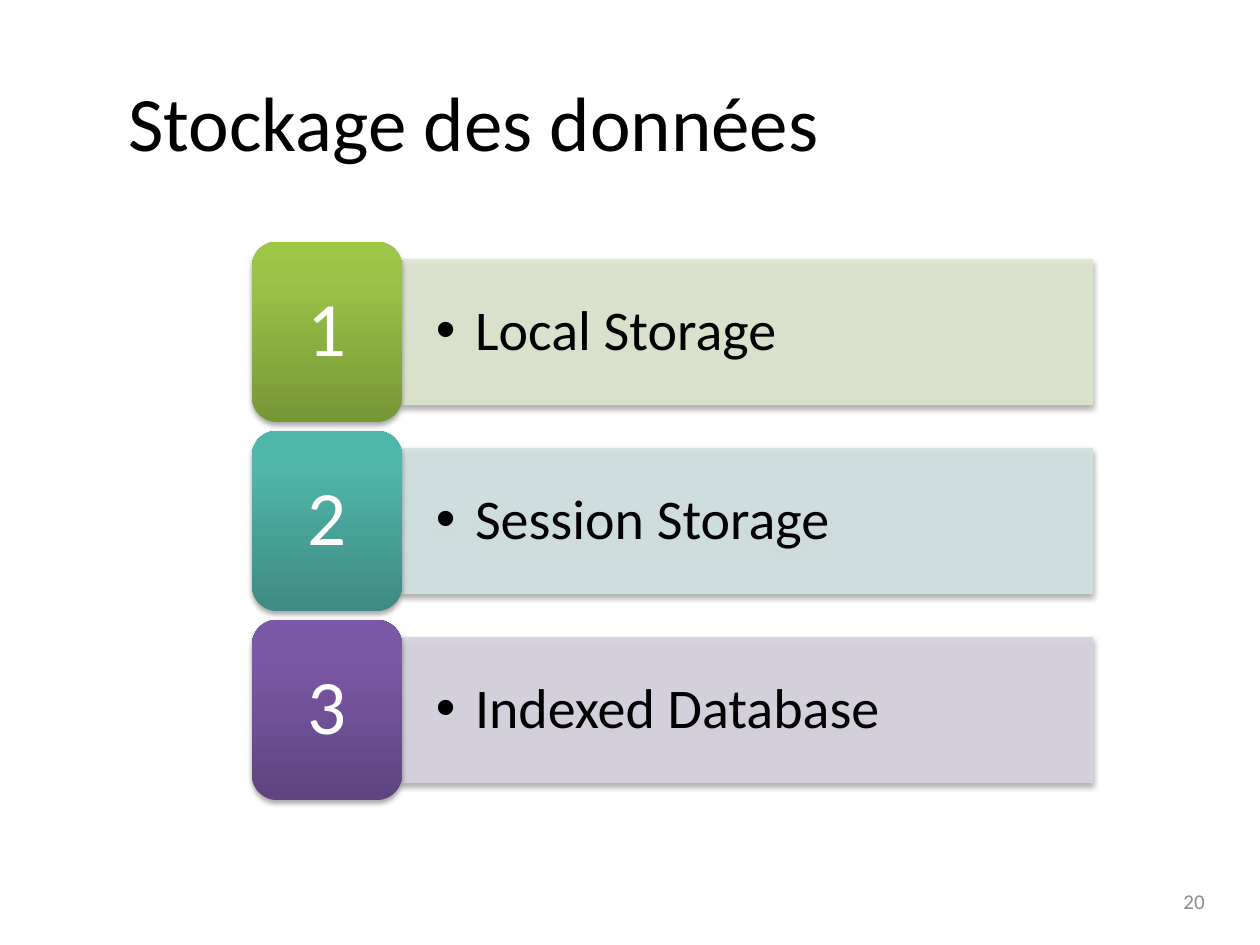
from lxml import etree
from pptx import Presentation
from pptx import util as u
from pptx.dml.color import RGBColor
from pptx.enum import shapes, text
from pptx.oxml.ns import qn


def colour(code):
    return RGBColor.from_string(code)


def apply(target, values):
    for name, value in values.items():
        setattr(target, name, value)


def add_node(parent, tag, **attributes):
    return etree.SubElement(parent, qn(tag), {k: str(v) for k, v in attributes.items()})


class StorageSlide:
    font = "Calibri"
    ink = "000000"
    light = "FFFFFF"
    muted = "8C8C8C"

    def __init__(self, deck):
        self.slide = deck.slides.add_slide(deck.slide_layouts[6])

    def put_words(self, holder, wording, size, ink, align, insets=(0.1, 0.05)):
        frame = holder.text_frame
        across, down = map(u.Inches, insets)
        apply(frame, {
            "word_wrap": True,
            "vertical_anchor": text.MSO_ANCHOR.MIDDLE,
            "margin_left": across, "margin_right": across,
            "margin_top": down, "margin_bottom": down,
        })
        paragraph = frame.paragraphs[0]
        paragraph.alignment = align
        run = paragraph.add_run()
        run.text = wording
        apply(run.font, {"name": self.font, "size": u.Pt(size)})
        run.font.color.rgb = colour(ink)
        return paragraph

    def label(self, box, wording, size, ink, align):
        holder = self.slide.shapes.add_textbox(*map(u.Inches, box))
        self.put_words(holder, wording, size, ink, align)

    def block(self, preset, box):
        block = self.slide.shapes.add_shape(preset, *map(u.Inches, box))
        block.shadow.inherit = False
        effects = block._element.spPr.find(qn("a:effectLst"))
        shadow = add_node(effects, "a:outerShdw", blurRad=u.Pt(3.1), dist=u.Pt(1.8),
                          dir=5400000, rotWithShape=0)
        add_node(add_node(shadow, "a:srgbClr", val=self.ink), "a:alpha", val=35000)
        return block

    def bar(self, box, wording, tint):
        bar = self.block(shapes.MSO_SHAPE.RECTANGLE, box)
        bar.fill.solid()
        bar.fill.fore_color.rgb = colour(tint)
        bar.line.color.rgb = colour(tint)
        bar.line.width = u.Pt(0.75)
        for paint in bar._element.spPr.iter(qn("a:solidFill")):
            add_node(paint[0], "a:alpha", val=90000)
        paragraph = self.put_words(bar, wording, 32, self.ink, text.PP_ALIGN.LEFT, (0.27, 0.14))
        apply(paragraph, {"level": 1, "line_spacing": 0.9})
        layout = paragraph._p.get_or_add_pPr()
        indent = u.Inches(0.31)
        layout.set("marL", str(indent))
        layout.set("indent", str(-indent))
        add_node(layout, "a:buFont", typeface="Arial")
        add_node(layout, "a:buChar", char="•")

    def badge(self, box, number, shades):
        badge = self.block(shapes.MSO_SHAPE.ROUNDED_RECTANGLE, box)
        badge.line.fill.background()
        badge.fill.gradient()
        badge.fill.gradient_angle = 90
        stops = badge._element.spPr.find(".//" + qn("a:gsLst"))
        for stop in list(stops):
            stops.remove(stop)
        for position, shade in zip((0, 80, 100), shades):
            stop = add_node(stops, "a:gs", pos=position * 1000)
            add_node(stop, "a:srgbClr", val=shade)
        paragraph = self.put_words(badge, number, 44, self.light, text.PP_ALIGN.CENTER, (0.18, 0.09))
        paragraph.line_spacing = 0.9


def main():
    deck = Presentation()
    apply(deck, {"slide_width": u.Inches(10), "slide_height": u.Inches(7.5)})
    page = StorageSlide(deck)
    storages = [
        ("Local Storage", "DEE7D1", ("779737", "9BC348", "9DC746")),
        ("Session Storage", "D2E3E2", ("3D8B83", "50B5AA", "4EB8AC")),
        ("Indexed Database", "D8D3E0", ("5F4480", "7B58A6", "7C57A8")),
    ]
    first_top, pitch = 1.92, 1.5
    badge_width, badge_height, bar_height = 1.19, 1.43, 1.15
    for index, (storage, tint, shades) in enumerate(storages):
        top = first_top + index * pitch
        bar_top = top + (badge_height - bar_height) / 2
        page.bar((2 + badge_width, bar_top, 5.48, bar_height), storage, tint)
        page.badge((2, top, badge_width, badge_height), str(index + 1), shades)
    page.label((0.92, 0.33, 8.83, 1.25), "Stockage des données", 44, page.ink, text.PP_ALIGN.LEFT)
    page.label((7.33, 6.95, 2.33, 0.4), "20", 12, page.muted, text.PP_ALIGN.RIGHT)
    deck.save("out.pptx")


if __name__ == "__main__":
    main()
